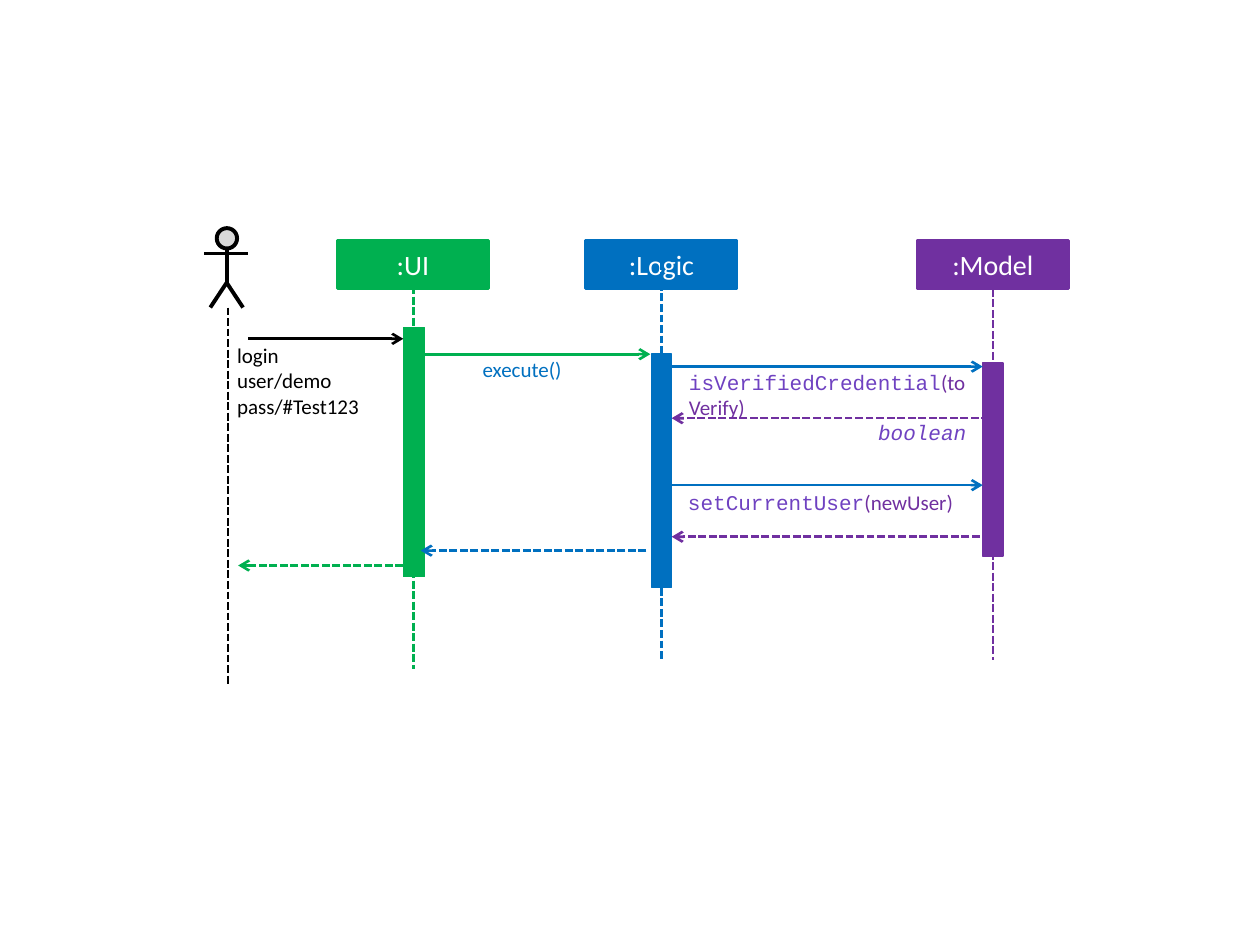
from pptx import Presentation
from pptx.dml.color import RGBColor as RGB
from pptx.enum.dml import MSO_LINE as Dash
from pptx.enum.shapes import MSO_CONNECTOR as Conn, MSO_SHAPE as Form
from pptx.enum.text import MSO_ANCHOR as Anchor, PP_ALIGN as Align
from pptx.oxml.ns import qn
from pptx.util import Cm, Pt
from lxml.etree import SubElement

hues = {"black": "000000", "white": "FFFFFF", "gray": "D9D9D9", "green": "00B050",
        "blue": "0070C0", "purple": "7030A0", "violet": "6F42C1"}
hues = {name: RGB.from_string(code) for name, code in hues.items()}


def block(shapes, form, rect, fill, edge, width):
    shape = shapes.add_shape(form, *map(Cm, rect))
    shape.shadow.inherit = False
    shape.fill.solid()
    shape.fill.fore_color.rgb = hues[fill]
    shape.line.color.rgb = hues[edge]
    shape.line.width = Pt(width)
    return shape


def stroke(shapes, ends, hue, width=1.5, dash=False, arrow=False):
    line = shapes.add_connector(Conn.STRAIGHT, *map(Cm, ends))
    line.line.color.rgb = hues[hue]
    line.line.width = Pt(width)
    if dash:
        line.line.dash_style = Dash.SQUARE_DOT
    props = line._element.spPr
    if arrow:
        SubElement(props.find(qn("a:ln")), qn("a:tailEnd"), type="arrow")
    SubElement(props, qn("a:effectLst"))


deck = Presentation()
deck.slide_width, deck.slide_height = Cm(25.4), Cm(19.05)
slide = deck.slides.add_slide(deck.slide_layouts[6])
shapes = slide.shapes

lanes = [
    (":UI", "green", 8.33, 5.77, 13.49, (8.13, 6.6, 0.43, 5.03)),
    (":Logic", "blue", 13.34, 5.28, 13.31, (13.13, 7.14, 0.41, 4.7)),
    (":Model", "purple", 20.02, 5.61, 13.31, (19.81, 7.32, 0.41, 3.89)),
]
for name, hue, mid, top, end, bar in lanes:
    head = block(shapes, Form.RECTANGLE, (mid - 1.53, 4.85, 3.05, 0.97), hue, hue, 1.5)
    frame = head.text_frame
    frame.vertical_anchor = Anchor.MIDDLE
    para = frame.paragraphs[0]
    para.text = name
    para.alignment = Align.CENTER
    para.font.name, para.font.size = "Calibri", Pt(16)
    para.font.color.rgb = hues["white"]
    stroke(shapes, (mid, top, mid, end), hue, dash=True)
    block(shapes, Form.RECTANGLE, bar, hue, hue, 0.75)

actor = shapes.add_group_shape().shapes
block(actor, Form.FLOWCHART_CONNECTOR, (4.37, 4.6, 0.41, 0.41), "gray", "black", 2.25)
stroke(actor, (4.57, 5, 4.57, 5.7), "black", 2.25)
stroke(actor, (4.12, 5.11, 5, 5.11), "black", 2.25)
pen = actor.build_freeform(Cm(4.24), Cm(6.2))
pen.add_line_segments([(Cm(4.57), Cm(5.7)), (Cm(4.9), Cm(6.2))], close=False)
legs = pen.convert_to_shape()
legs.shadow.inherit = False
legs.fill.background()
legs.line.color.rgb = hues["black"]
legs.line.width = Pt(2.25)
stroke(shapes, (4.6, 6.2, 4.6, 13.79), "black", dash=True)

calls = [
    (5, 8.13, 6.83, "black", False),
    (8.31, 13.11, 7.14, "green", False),
    (13.39, 19.81, 7.39, "blue", False),
    (19.94, 13.54, 8.43, "purple", True),
    (13.39, 19.81, 9.78, "blue", False),
    (19.96, 13.54, 10.82, "purple", True),
    (13.03, 8.48, 11.1, "blue", True),
    (8.13, 4.8, 11.4, "green", True),
]
for start, end, y, hue, dash in calls:
    stroke(shapes, (start, y, end, y), hue, dash=dash, arrow=True)

sans, mono = "Calibri", "Courier New"
notes = [
    ((4.78, 6.91, 3.3, 1.55), Align.LEFT, [[("login \nuser/demo", sans, "black")],
                                           [("pass/#Test123", sans, "black")]]),
    ((9.73, 7.19, 3.96, 0.51), Align.LEFT, [[("execute()", sans, "blue")]]),
    ((13.89, 7.44, 5.66, 0.51), Align.LEFT, [[("isVerifiedCredential", mono, "violet"),
                                              ("(toVerify)", sans, "purple")]]),
    ((13.82, 8.46, 5.66, 0.51), Align.RIGHT, [[("boolean", mono, "violet")]]),
    ((13.87, 9.86, 5.66, 0.51), Align.LEFT, [[("setCurrentUser", mono, "violet"),
                                              ("(newUser)", sans, "purple")]]),
]
for rect, align, rows in notes:
    frame = shapes.add_textbox(*map(Cm, rect)).text_frame
    frame.word_wrap = True
    frame.margin_left = frame.margin_right = frame.margin_top = frame.margin_bottom = 0
    for i, row in enumerate(rows):
        para = frame.add_paragraph() if i else frame.paragraphs[0]
        para.alignment = align
        para.font.size = Pt(12)
        para.font.italic = True if align == Align.RIGHT else None
        for j, part in enumerate(row[0][0].split("\n")):
            if j:
                para.add_line_break()
            run = para.add_run()
            run.text = part
            run.font.name = row[0][1]
            run.font.color.rgb = hues[row[0][2]]
        for words, face, hue in row[1:]:
            run = para.add_run()
            run.text = words
            run.font.name = face
            run.font.color.rgb = hues[hue]

deck.save("out.pptx")
